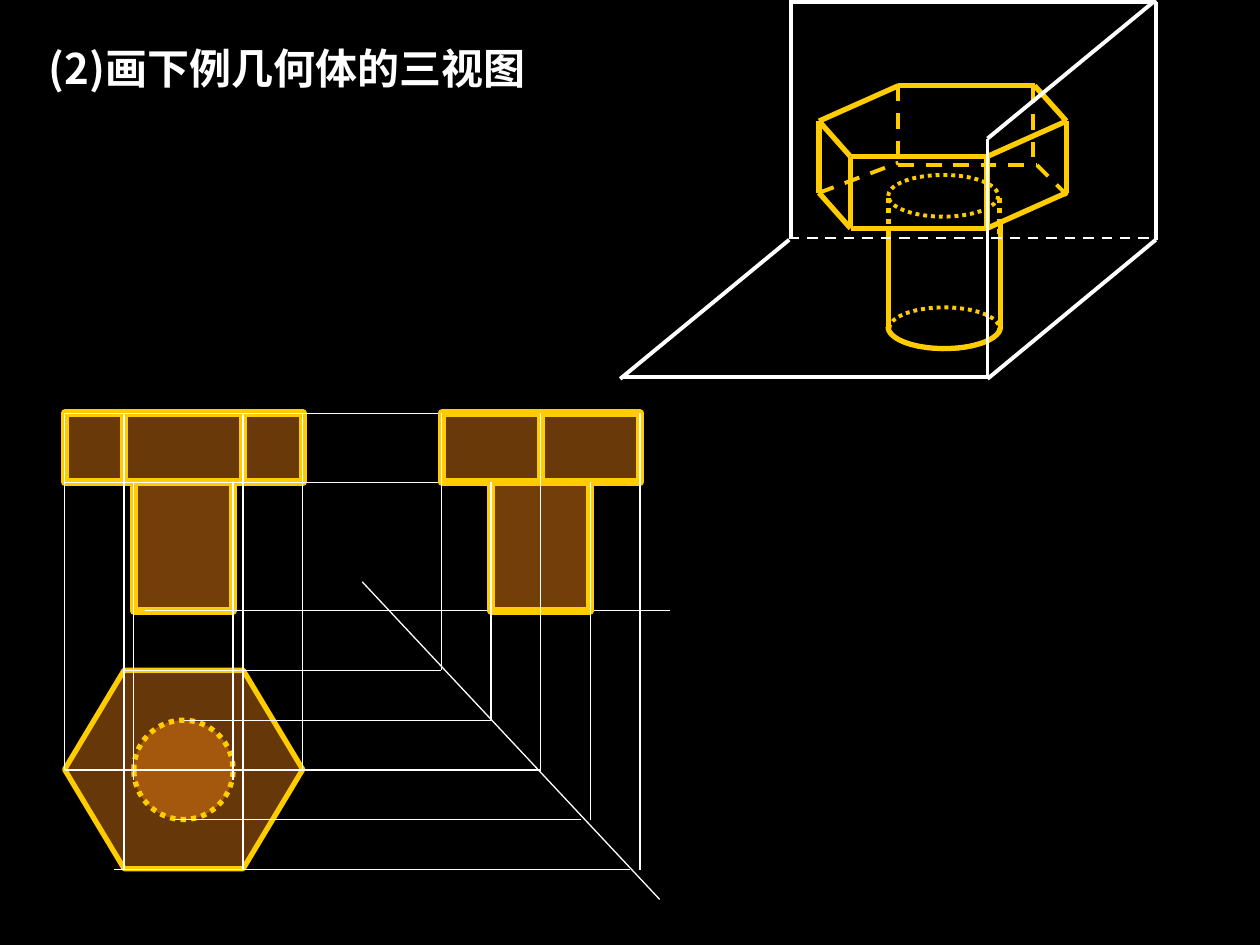
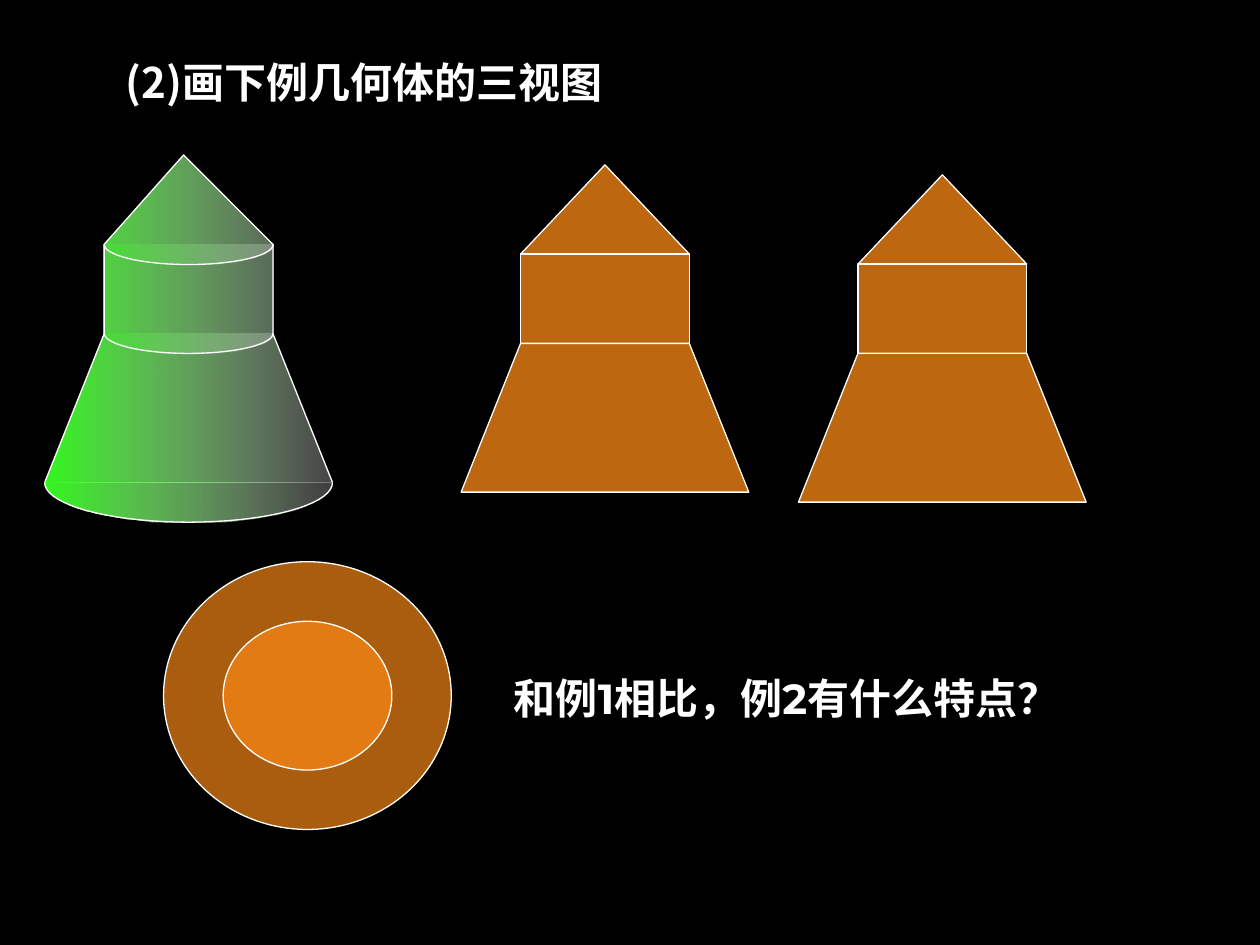
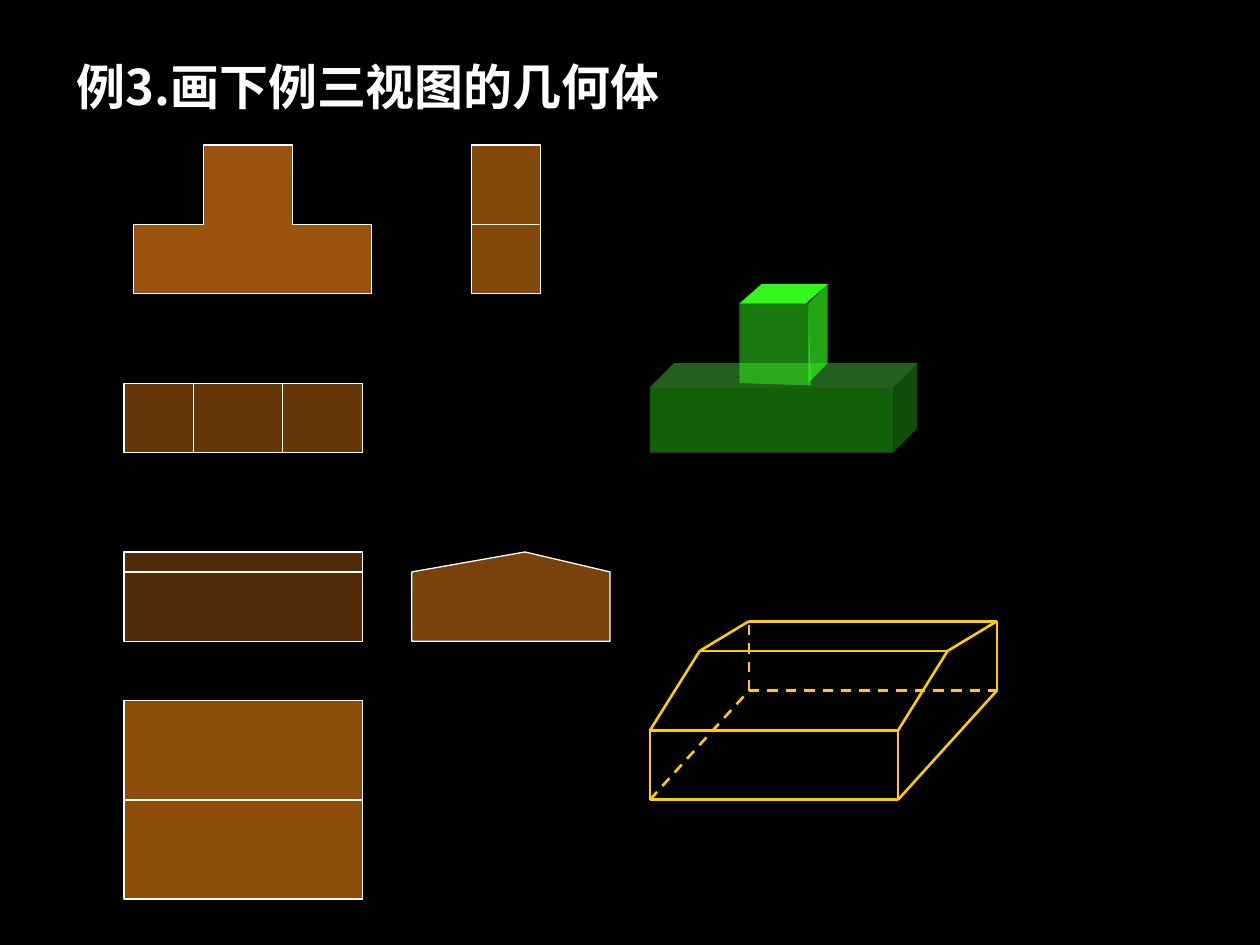
"""Build three slides on the three views of solid bodies."""
from dataclasses import dataclass, field
from math import cos, pi, sin

from lxml.etree import SubElement
from pptx import Presentation
from pptx.dml.color import RGBColor
from pptx.enum.dml import MSO_LINE
from pptx.enum.shapes import MSO_CONNECTOR, MSO_SHAPE
from pptx.enum.text import MSO_AUTO_SIZE
from pptx.oxml.ns import qn
from pptx.util import Pt


@dataclass
class Theme:
    black: str = "000000"
    white: str = "FFFFFF"
    gold: str = "FFCC00"
    amber: str = "FF8B17"
    green: str = "33F81E"
    body: int = 24
    head: int = 28
    sans: str = "Noto Sans CJK SC"
    latin: str = "Montserrat"
    frame: dict = field(default_factory=lambda: {
        "word_wrap": True, "auto_size": MSO_AUTO_SIZE.SHAPE_TO_FIT_TEXT,
        "margin_left": Pt(7.2), "margin_right": Pt(7.2),
        "margin_top": Pt(6), "margin_bottom": Pt(3.6)})


def add(page, kind, pts, fill=(), edge=None):
    size = [Pt(v) for v in pts] if kind not in ("open", "shut") else None
    if kind == "line":
        item = page.shapes.add_connector(MSO_CONNECTOR.STRAIGHT, *size)
    elif size:
        item = page.shapes.add_shape(kind, *size)
    else:
        dots = [(Pt(x), Pt(y)) for x, y in pts]
        pen = page.shapes.build_freeform(*dots[0], scale=1)
        pen.add_line_segments(dots[1:], close=kind == "shut")
        item = pen.convert_to_shape()
    if kind != "line":
        item.shadow.inherit = False
        if len(fill) == 2:
            item.fill.gradient()
            item.fill.gradient_angle = 0
            for stop, (tint, _) in zip(item.fill.gradient_stops, fill):
                stop.color.rgb = RGBColor.from_string(tint)
        elif fill:
            item.fill.solid()
            item.fill.fore_color.rgb = RGBColor.from_string(fill[0][0])
        else:
            item.fill.background()
        tints = item.element.spPr.xpath("./a:solidFill/a:srgbClr | ./a:gradFill//a:srgbClr")
        for node, (_, part) in zip(tints, fill):
            SubElement(node, qn("a:alpha")).set("val", str(part * 1000))
    if edge:
        tint, wide, dash = edge
        item.line.color.rgb = RGBColor.from_string(tint)
        looks = {"width": Pt(wide), "dash_style": dash}
        for name, value in looks.items():
            setattr(item.line, name, value)
    else:
        item.line.fill.background()
    if kind == "line":
        SubElement(item.element.spPr, qn("a:effectLst"))
    return item


def arc(mid, top, wide, high):
    turns = [pi * n / 36 for n in range(37)]
    return [(mid + wide * cos(t), top + high * sin(t)) for t in turns]


look = Theme()
thin = (look.white, 0.75, None)
wall = (look.white, 2.25, None)
rear = (look.white, 1.5, MSO_LINE.DASH)
thick = (look.gold, 4.5, None)
bold = (look.gold, 3, None)
dots = (look.gold, 3, MSO_LINE.ROUND_DOT)
fine = (look.gold, 2.25, MSO_LINE.ROUND_DOT)
dash = (look.gold, 2.25, MSO_LINE.DASH)
wire = (look.gold, 1.5, None)
back = (look.gold, 1.5, MSO_LINE.DASH)

deck = Presentation()
deck.slide_width, deck.slide_height = Pt(720), Pt(540)
ground = deck.slide_master.background.fill
ground.solid()
ground.fore_color.rgb = RGBColor.from_string(look.black)
bolt, tower, blocks = [deck.slides.add_slide(deck.slide_layouts[6]) for _ in range(3)]

top, neck, foot = 236.2, 275.6, 349
hexa = add(bolt, MSO_SHAPE.HEXAGON, (36.9, 383, 136.1, 113.4), [(look.amber, 40)], bold)
hexa.adjustments[0] = 0.3
add(bolt, MSO_SHAPE.OVAL, (76.5, 411.6, 56.7, 56.7), [(look.amber, 40)], dots)
add(bolt, MSO_SHAPE.RECTANGLE, (36.9, top, 136.1, neck - top), [(look.amber, 41)], thick)
for x in (70.9, 138.9):
    add(bolt, "line", (x, top, x, neck), edge=thick)
add(bolt, MSO_SHAPE.RECTANGLE, (76.5, neck, 56.7, foot - neck), [(look.amber, 45)], thick)
for x, start, end in ((36.9, top, 440), (70.9, top, 497), (138.9, top, 497),
                      (173, top, 440), (76.5, neck, 445.5), (133.2, neck, 445.5)):
    add(bolt, "line", (x, start, x, end), edge=thin)
add(bolt, "line", (207, 332.5, 377, 514), edge=thin)
for y, start, end in ((top, 36.9, 365.5), (neck, 36.9, 365.5), (foot, 83, 383),
                      (383, 70.9, 252.3), (440, 36.9, 309), (497, 65.3, 360),
                      (468.5, 99.2, 332), (411.6, 105, 280.6)):
    add(bolt, "line", (start, y, end, y), edge=thin)
add(bolt, MSO_SHAPE.RECTANGLE, (280.6, neck, 56.7, foot - neck), [(look.amber, 45)], thick)
add(bolt, MSO_SHAPE.RECTANGLE, (252.4, top, 113.4, neck - top), [(look.amber, 41)], thick)
add(bolt, "line", (309, top, 309, neck), edge=thick)
for x, start, end in ((365.7, top, 497), (337.4, neck, 468.5), (252.4, top, 383),
                      (309, top, 440), (280.6, neck, 411.6)):
    add(bolt, "line", (x, start, x, end), edge=thin)

ring = [(513.4, 49), (591.2, 49), (609.4, 69.2), (564, 89.5), (486, 89.5), (468, 69.2)]
drop = 41
for one, two in zip(ring, ring[1:] + ring[:1]):
    add(bolt, "line", (*one, *two), edge=bold)
for one, two in zip(ring[2:], ring[3:]):
    add(bolt, "line", (one[0], one[1] + drop, two[0], two[1] + drop), edge=bold)
for x, y in ring[2:]:
    add(bolt, "line", (x, y, x, y + drop), edge=bold)
for x, y in ((507.6, 132.5), (571.7, 128.2)):
    add(bolt, "line", (x, y, x, 186.6), edge=bold)
add(bolt, "open", arc(539.6, 186.8, 32.1, 12.4), edge=bold)
for pts in ((513.4, 49, 513.4, 94.4), (468, 110.2, 513.4, 93), (513.4, 94.4, 592.6, 94.4),
            (590.4, 49.7, 590.4, 95), (592.6, 94.4, 609.8, 111.6)):
    add(bolt, "line", pts, edge=dash)
for x, y in ((508.2, 175.7), (507.6, 100)):
    add(bolt, MSO_SHAPE.OVAL, (x, y, 62.8, 23.8), edge=fine)
for x in (571, 507.6):
    add(bolt, "line", (x, 134, x, 111.6), edge=dots)
for pts, edge in (((450.7, 1.2, 660.5, 1.2), wall), ((660.5, 0, 564.3, 79.2), wall),
                  ((450.7, 136, 660.5, 136), rear), ((452, 0, 452, 136), wall),
                  ((660.5, 1.2, 660.5, 137), wall), ((451, 137, 354.4, 216.5), wall),
                  ((564.3, 79.2, 564.3, 215.4), wall), ((355.5, 215.4, 565, 215.4), wall),
                  ((660.5, 137, 564.3, 216.5), wall)):
    add(bolt, "line", pts, edge=edge)

for x, y in ((297.5, 94.2), (490.3, 99.9)):
    tint = [(look.amber, 74)]
    add(tower, MSO_SHAPE.ISOSCELES_TRIANGLE, (x, y, 96.4, 51), tint, thin)
    add(tower, MSO_SHAPE.RECTANGLE, (x, y + 51, 96.4, 51), tint, thin)
    skirt = [(x - 34, y + 187), (x, y + 102), (x + 96.4, y + 102), (x + 130.4, y + 187)]
    add(tower, "shut", skirt, tint, thin)
for pts in ((93.5, 321, 164.4, 153), (127.5, 355, 96.4, 85)):
    add(tower, MSO_SHAPE.OVAL, pts, [(look.amber, 67)], thin)
shell = [(190, 275.8), (156, 190.8), (156, 139.7), (104.9, 88.6),
         (59.5, 139.7), (59.5, 190.8), (25.5, 275.8)]
add(tower, "open", shell, [(look.green, 100), (look.white, 27)], thin)
for pts, part in (((107.8, 275.8, 82.2, 22.6), 100), ((107.8, 190.5, 48.2, 11.5), 30),
                  ((107.8, 139.7, 48.2, 11.5), 26)):
    add(tower, "open", arc(*pts), [(look.green, part), (look.white, 24)], thin)

add(blocks, MSO_SHAPE.RECTANGLE, (70.9, 219, 136.1, 39.6), [(look.amber, 40)], thin)
for x in (110.6, 161.5):
    add(blocks, "line", (x, 219, x, 258.6), edge=thin)
tee = [(116.2, 128.2), (76.4, 128.2), (76.4, 167.7), (212.5, 167.7),
       (212.5, 128.2), (167.2, 128.2), (167.2, 82.9), (116.2, 82.9)]
add(blocks, "shut", tee, [(look.amber, 60)], thin)
cube = add(blocks, MSO_SHAPE.CUBE, (371.4, 207.5, 152.9, 51.2), [(look.green, 39)])
cube.adjustments[0] = 0.27
side = [(422.5, 173.3), (433.6, 162.2), (473, 162.2), (462, 173.3),
        (462, 218.7), (473, 207.5), (473, 162.2), (433.6, 162.2)]
add(blocks, "open", side, [(look.green, 67)])
front = [(462, 173.3), (422.5, 173.3), (422.5, 218.9), (463.5, 220.2)]
add(blocks, "open", front, [(look.green, 49)])
lid = add(blocks, MSO_SHAPE.PARALLELOGRAM, (422.5, 162.2, 50.8, 11.3), [(look.green, 100)])
lid.adjustments[0] = 1.14
for pts, part, y in (((269.3, 82.9, 39.6, 85), 52, 128.2), ((70.9, 315.4, 136.1, 51), 31, 326.8),
                     ((70.9, 400.3, 136.1, 113.4), 56, 457.2)):
    add(blocks, MSO_SHAPE.RECTANGLE, pts, [(look.amber, part)], thin)
    add(blocks, "line", (pts[0], y, pts[0] + pts[2], y), edge=thin)
gable = [(300, 315.4), (235.3, 326.8), (235.3, 366.4), (348.6, 366.4), (348.6, 326.8)]
add(blocks, "shut", gable, [(look.amber, 48)], thin)

spots = {"A": (371.4, 457), "B": (513.2, 457), "C": (569.7, 394.6), "D": (428, 394.6),
         "a": (371.4, 417.4), "b": (513.2, 417.4), "c": (569.7, 355), "d": (428, 355),
         "e": (399.8, 372), "f": (541.5, 372)}
for pairs, edge in (("AB BC Aa Bb Cc ef ea fb ed fc dc ab", wire), ("AD DC Dd", back)):
    for one, two in pairs.split():
        add(blocks, "line", (*spots[one], *spots[two]), edge=edge)

title = "(2)画下例几何体的三视图"
for page, pts, words, size, face in (
        (bolt, (20.9, 18, 290.2, 36), title, look.body, look.sans),
        (tower, (64.8, 25.9, 329, 36), title, look.body, look.sans),
        (tower, (286.6, 378, 334.8, 36), "和例1相比，例2有什么特点？", look.body, look.latin),
        (blocks, (36.7, 25.9, 362.9, 41), "例3.画下例三视图的几何体", look.head, look.sans)):
    frame = page.shapes.add_textbox(*[Pt(v) for v in pts]).text_frame
    for name, value in look.frame.items():
        setattr(frame, name, value)
    para = frame.paragraphs[0]
    para.line_spacing = Pt(round(size * 1.21))
    run = para.add_run()
    run.text = words
    for name, value in {"size": Pt(size), "bold": True, "name": face}.items():
        setattr(run.font, name, value)
    run.font.color.rgb = RGBColor.from_string(look.white)
    SubElement(run.font._element, qn("a:ea")).set("typeface", look.sans)

deck.save("out.pptx")
